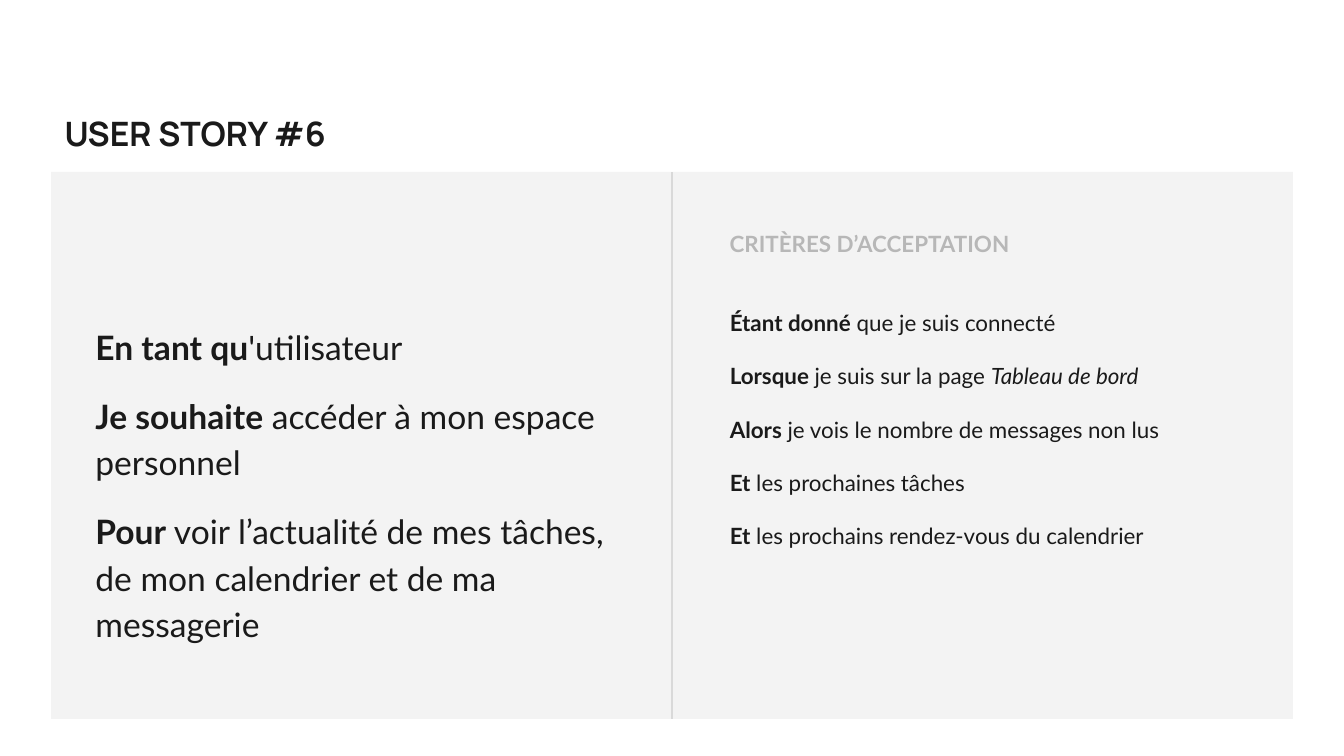
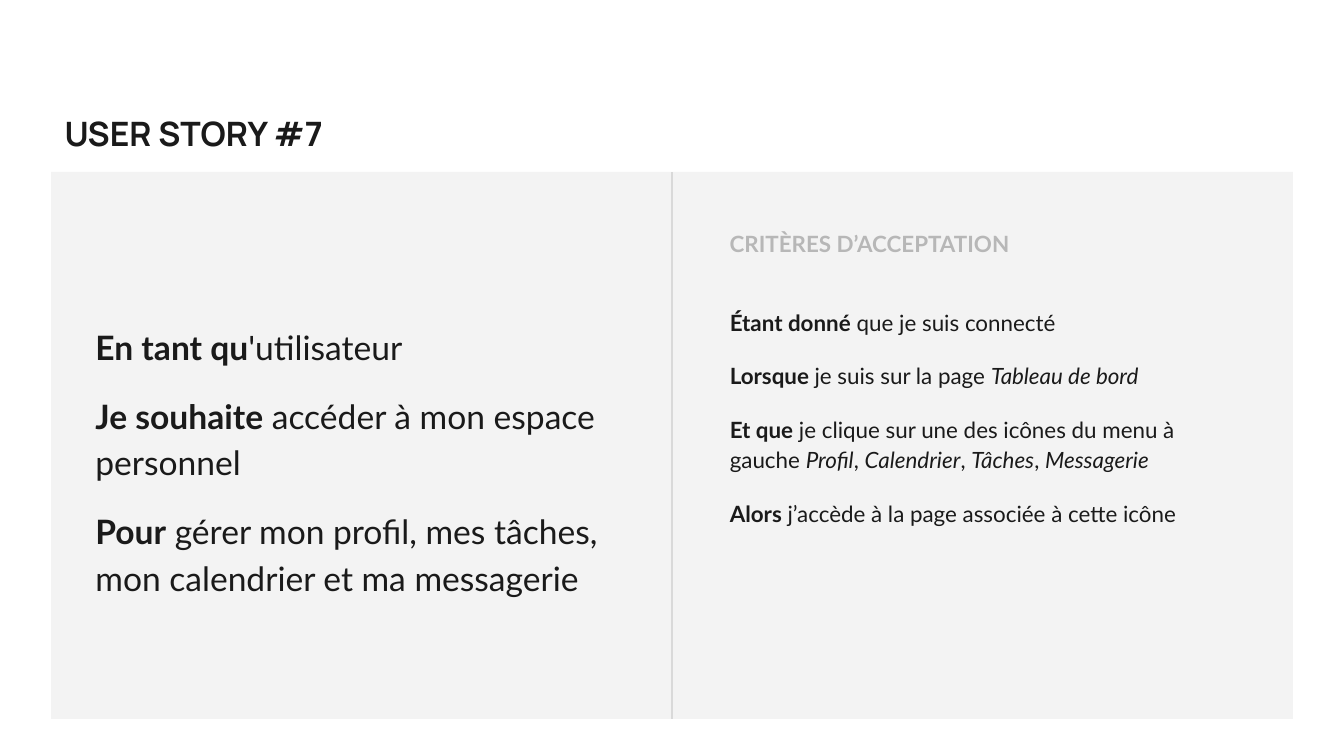
import pptx
import pptx.dml.color
import pptx.enum.shapes
import pptx.enum.text
import pptx.oxml.ns
import pptx.util
from lxml import etree

Inches, Pt = pptx.util.Inches, pptx.util.Pt
RGBColor = pptx.dml.color.RGBColor

# Content: each sentence is a bold lead, then plain and italic parts in turn
CRITERIA_HEADING = "CRITÈRES D’ACCEPTATION"
SHARED_STORY = [
    ("En tant qu", "'utilisateur"),
    ("Je souhaite", " accéder à mon espace personnel"),
]
SHARED_CRITERIA = [
    ("Étant donné", " que je suis connecté"),
    ("Lorsque ", "je suis sur la page ", "Tableau de bord"),
]
USER_STORIES = [
    {
        "title": "USER STORY #6",
        "goal": ("Pour", " voir l’actualité de mes tâches, de mon calendrier et de ma messagerie"),
        "criteria": [
            ("Alors", " je vois le nombre de messages non lus"),
            ("Et", " les prochaines tâches"),
            ("Et", " les prochains rendez-vous du calendrier"),
        ],
        "story_height": 2.68,
    },
    {
        "title": "USER STORY #7",
        "goal": ("Pour", " gérer mon profil, mes tâches, mon calendrier et ma messagerie"),
        "criteria": [
            ("Et que", " je clique sur une des icônes du menu à gauche ", "Profil", ", ",
             "Calendrier", ", ", "Tâches", ", ", "Messagerie"),
            ("Alors", " j’accède à la page associée à cette icône"),
        ],
        "story_height": 2.05,
    },
]

# Shared style
INK = RGBColor(0x1A, 0x1A, 0x1A)
PANEL_GREY = RGBColor(0xF3, 0xF3, 0xF3)
DIVIDER_GREY = RGBColor(0xD9, 0xD9, 0xD9)
HEADING_GREY = RGBColor(0xB7, 0xB7, 0xB7)
TITLE_FONT, TEXT_FONT = "Manrope", "Lato"

# Shared geometry, in inches, on a 16:9 slide
SLIDE_WIDTH = 10
SLIDE_HEIGHT = SLIDE_WIDTH * 9 / 16
PANEL_LEFT, PANEL_TOP, PANEL_HEIGHT = 0.38, 1.28, 4.07
PANEL_WIDTH = SLIDE_WIDTH - 2 * PANEL_LEFT
STORY_LEFT, STORY_TOP, STORY_WIDTH = 0.61, 2.29, 4.19
CRITERIA_LEFT = 5.33


def place(box, left, top, width, height):
    box.left, box.top = Inches(left), Inches(top)
    box.width, box.height = Inches(width), Inches(height)
    frame = box.text_frame
    frame.word_wrap = True
    frame.auto_size = pptx.enum.text.MSO_AUTO_SIZE.NONE
    frame.vertical_anchor = pptx.enum.text.MSO_ANCHOR.TOP
    frame.margin_left = frame.margin_right = Inches(0.1)
    frame.margin_top = frame.margin_bottom = Inches(0.1)
    return frame


def style(run, font, size, color, bold=False, italic=False):
    run.font.name, run.font.size = font, Pt(size)
    run.font.color.rgb = color
    run.font.bold, run.font.italic = bold, italic


def write_heading(frame, text, font, size, color):
    frame.text = text
    paragraph = frame.paragraphs[0]
    paragraph.alignment = pptx.enum.text.PP_ALIGN.LEFT
    style(paragraph.runs[0], font, size, color, bold=True)


def write_sentences(frame, sentences, size):
    for number, sentence in enumerate(sentences):
        paragraph = frame.add_paragraph() if number else frame.paragraphs[0]
        properties = paragraph._p.get_or_add_pPr()
        properties.set("marL", "0")
        properties.set("indent", "0")
        etree.SubElement(properties, pptx.oxml.ns.qn("a:buNone"))
        paragraph.line_spacing = 1.15
        paragraph.space_before = Pt(12 if number else 0)
        for position, part in enumerate(sentence):
            run = paragraph.add_run()
            run.text = part
            style(run, TEXT_FONT, size, INK, bold=position == 0,
                  italic=position > 0 and position % 2 == 0)
    paragraph.space_after = Pt(12)


def add_panel(slide):
    panel = slide.shapes.add_shape(
        pptx.enum.shapes.MSO_SHAPE.RECTANGLE, Inches(PANEL_LEFT), Inches(PANEL_TOP),
        Inches(PANEL_WIDTH), Inches(PANEL_HEIGHT))
    panel.shadow.inherit = False
    panel.fill.solid()
    panel.fill.fore_color.rgb = PANEL_GREY
    panel.line.fill.background()
    # Send behind the placeholders
    slide.shapes._spTree.insert(2, panel._element)


def add_divider(slide):
    middle = Inches(SLIDE_WIDTH / 2)
    divider = slide.shapes.add_connector(
        pptx.enum.shapes.MSO_CONNECTOR.STRAIGHT, middle, Inches(PANEL_TOP),
        middle, Inches(PANEL_TOP + PANEL_HEIGHT))
    divider.line.color.rgb = DIVIDER_GREY
    divider.line.width = Pt(0.75)
    etree.SubElement(divider._element.spPr, pptx.oxml.ns.qn("a:effectLst"))


def add_user_story(deck, story):
    slide = deck.slides.add_slide(deck.slide_layouts.get_by_name("Two Content"))
    add_panel(slide)
    title, story_box, criteria_box = list(slide.placeholders)[:3]

    # Title
    title_frame = place(title, PANEL_LEFT, 0.74, 2.72, 0.54)
    write_heading(title_frame, story["title"], TITLE_FONT, 18, INK)

    # Story on the left, acceptance criteria on the right
    story_frame = place(story_box, STORY_LEFT, STORY_TOP, STORY_WIDTH, story["story_height"])
    write_sentences(story_frame, SHARED_STORY + [story["goal"]], 18)
    criteria_frame = place(criteria_box, CRITERIA_LEFT, 2.17, 3.98, 2.87)
    write_sentences(criteria_frame, SHARED_CRITERIA + story["criteria"], 12)

    add_divider(slide)

    # Criteria heading
    heading = slide.shapes.add_textbox(0, 0, 0, 0)
    heading_frame = place(heading, CRITERIA_LEFT, 1.61, 3.28, 0.4)
    write_heading(heading_frame, CRITERIA_HEADING, TEXT_FONT, 12, HEADING_GREY)


def main():
    deck = pptx.Presentation()
    deck.slide_width, deck.slide_height = Inches(SLIDE_WIDTH), Inches(SLIDE_HEIGHT)
    for story in USER_STORIES:
        add_user_story(deck, story)
    deck.save("out.pptx")


if __name__ == "__main__":
    main()
